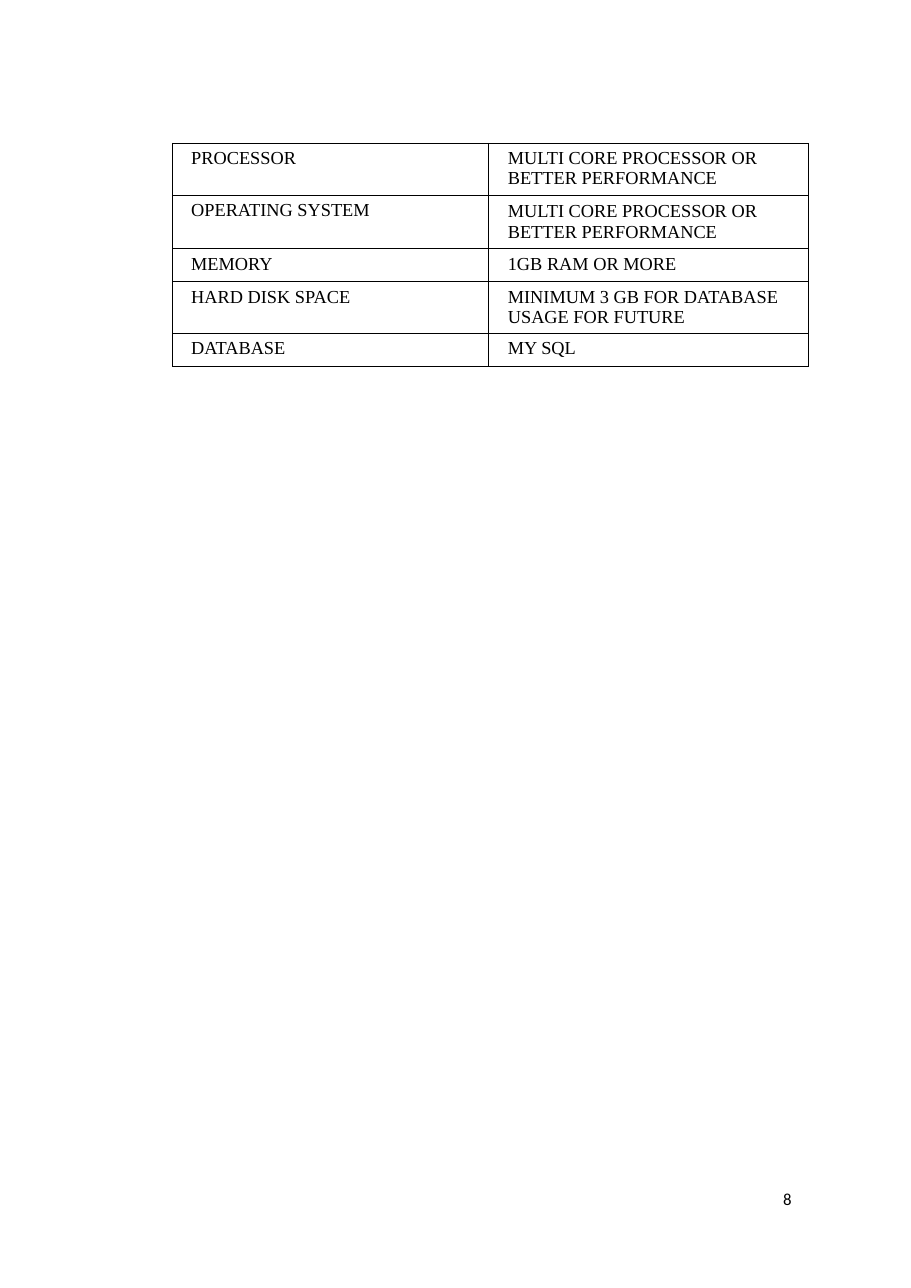
from lxml.etree import SubElement
from pptx import Presentation
from pptx.dml.color import RGBColor
from pptx.oxml import parse_xml
from pptx.oxml.ns import nsdecls, qn
from pptx.util import Cm, Pt


def color(hex_string):
    return RGBColor.from_string(hex_string)


class Page:
    INK = "000000"
    BORDER_PT = 0.28

    def __init__(self, prs):
        self.s = prs.slides.add_slide(prs.slide_layouts[6])

    def set_text(self, tf, text, font, size, indent, spacing=None):
        tf.word_wrap = True
        p = tf.paragraphs[0]
        p.text = text
        pPr = p._p.get_or_add_pPr()
        pPr.set("marL", str(Cm(indent)))
        pPr.set("indent", "0")
        if spacing:
            p.line_spacing = Pt(spacing)
        p.font.name = font
        p.font.size = Pt(size)
        p.font.color.rgb = color(self.INK)

    def text(self, text, left, top, width, height):
        tf = self.s.shapes.add_textbox(Cm(left), Cm(top), Cm(width), Cm(height)).text_frame
        tf.margin_left = tf.margin_right = tf.margin_top = tf.margin_bottom = 0
        self.set_text(tf, text, "Calibri", 11, 0.07)

    def border(self, cell):
        tcPr = cell._tc.get_or_add_tcPr()
        for i, side in enumerate(("lnL", "lnR", "lnT", "lnB")):
            ln = parse_xml(f'<a:{side} {nsdecls("a")} w="{Pt(self.BORDER_PT)}"/>')
            fill = SubElement(ln, qn("a:solidFill"))
            SubElement(fill, qn("a:srgbClr"), val=self.INK)
            tcPr.insert(i, ln)

    def table(self, rows, left, top, widths):
        heights = [row[2] for row in rows]
        table = self.s.shapes.add_table(len(rows), len(widths), Cm(left), Cm(top),
                                        Cm(sum(widths)), Cm(sum(heights))).table
        table.first_row = table.horz_banding = False
        for column, width in zip(table.columns, widths):
            column.width = Cm(width)
        for r, (name, value, height, spacing) in enumerate(rows):
            table.rows[r].height = Cm(height)
            for c, (text, indent, gap) in enumerate([(name, 0.18, None), (value, 0.2, spacing)]):
                cell = table.cell(r, c)
                self.set_text(cell.text_frame, text, "Times New Roman", 12, indent, gap)
                cell.fill.background()
                self.border(cell)


# Requirement, value, row height (cm), line spacing of the value (pt)
REQUIREMENTS = [
    ("PROCESSOR", "MULTI CORE PROCESSOR OR BETTER PERFORMANCE", 1.2, 13.2),
    ("OPERATING SYSTEM", "MULTI CORE PROCESSOR OR BETTER PERFORMANCE", 1.22, 13.8),
    ("MEMORY", "1GB RAM OR MORE", 0.76, None),
    ("HARD DISK SPACE", "MINIMUM 3 GB FOR DATABASE USAGE FOR FUTURE", 1.18, 13.2),
    ("DATABASE", "MY SQL", 0.76, None),
]


def main():
    prs = Presentation()
    prs.slide_width, prs.slide_height = Cm(21.03), Cm(29.72)
    page = Page(prs)

    # Page number
    page.text("8", 18.01, 27.43, 0.53, 0.48)

    # System requirements
    page.table(REQUIREMENTS, 3.98, 3.3, (7.29, 7.39))

    prs.save("out.pptx")


if __name__ == "__main__":
    main()
